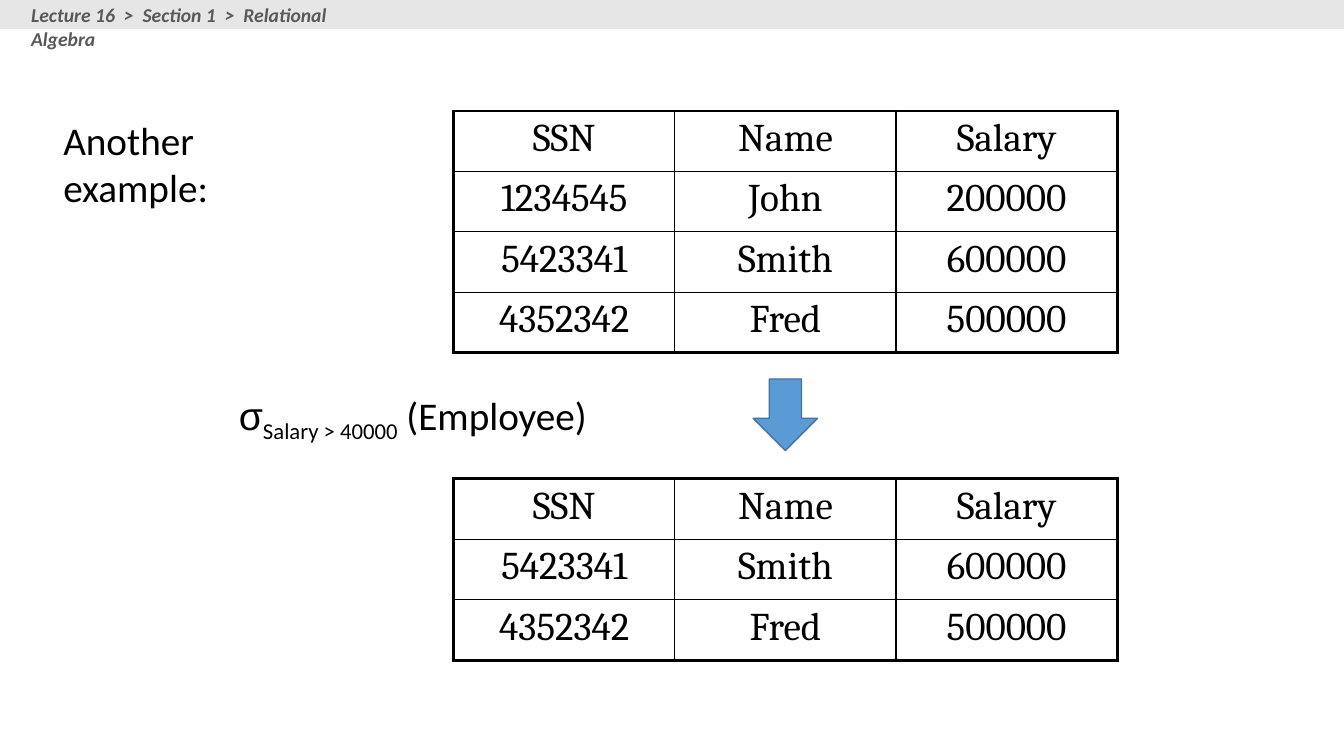
import pptx
import pptx.dml.color
import pptx.enum.shapes
import pptx.enum.text
import pptx.oxml
import pptx.oxml.ns
import pptx.util
from pptx.util import Inches

BLACK = "000000"
THIN, THICK = 1, 2.25
COLUMNS = ("SSN", "Name", "Salary")
JOHN = ("1234545", "John", "200000")
SMITH = ("5423341", "Smith", "600000")
FRED = ("4352342", "Fred", "500000")


def color(hex_code):
    return pptx.dml.color.RGBColor.from_string(hex_code)


def add_run(paragraph, text, font_name="Calibri", size=28, hex_code=BLACK):
    run = paragraph.add_run()
    run.text = text
    run.font.name = font_name
    run.font.size = pptx.util.Pt(size)
    run.font.color.rgb = color(hex_code)
    return run


def add_text(slide, left, top, width, height):
    frame = slide.shapes.add_textbox(
        Inches(left), Inches(top), Inches(width), Inches(height)).text_frame
    frame.word_wrap = True
    return frame.paragraphs[0]


def add_filled_shape(slide, kind, left, top, width, height, fill):
    shape = slide.shapes.add_shape(
        kind, Inches(left), Inches(top), Inches(width), Inches(height))
    shape.shadow.inherit = False
    shape.fill.solid()
    shape.fill.fore_color.rgb = color(fill)
    return shape


def set_borders(cell, widths):
    properties = cell._tc.get_or_add_tcPr()
    for position, (side, points) in enumerate(widths.items()):
        border = pptx.oxml.parse_xml(
            f'<a:ln{side} {pptx.oxml.ns.nsdecls("a")} w="{int(pptx.util.Pt(points))}">'
            f'<a:solidFill><a:srgbClr val="{BLACK}"/></a:solidFill></a:ln{side}>')
        properties.insert(position, border)


def add_relation(slide, left, top, width, row_height, rows):
    relation = slide.shapes.add_table(
        len(rows), len(COLUMNS), Inches(left), Inches(top),
        Inches(width), Inches(row_height * len(rows))).table
    last_row, last_column = len(rows) - 1, len(COLUMNS) - 1
    for row_index, values in enumerate(rows):
        relation.rows[row_index].height = Inches(row_height)
        for column_index, value in enumerate(values):
            cell = relation.cell(row_index, column_index)
            cell.fill.background()
            paragraph = cell.text_frame.paragraphs[0]
            paragraph.alignment = pptx.enum.text.PP_ALIGN.CENTER
            add_run(paragraph, value, "Cambria")
            set_borders(cell, {
                "L": THICK if column_index == 0 else THIN,
                "R": THICK if column_index == last_column else THIN,
                "T": THICK if row_index == 0 else THIN,
                "B": THICK if row_index == last_row else THIN,
            })


def add_breadcrumb(slide, left, top, width, height):
    band = add_filled_shape(slide, pptx.enum.shapes.MSO_SHAPE.RECTANGLE,
                            left, top, width, height, "E7E6E6")
    band.line.fill.background()
    trail = add_text(slide, left + 0.21, top - 0.02, 3.74, 0.34)
    run = add_run(trail, "Lecture 16  >  Section 1  >  Relational Algebra",
                  size=14, hex_code="595959")
    run.font.bold = True
    run.font.italic = True


def add_selection(slide, left, top, width, height):
    formula = add_text(slide, left, top, width, height)
    add_run(formula, "σ", "Arial")
    condition = add_run(formula, "Salary > 40000")
    condition._r.get_or_add_rPr().set("baseline", "-25000")
    add_run(formula, " (Employee)")


def add_arrow(slide, left, top, width, height):
    arrow = add_filled_shape(slide, pptx.enum.shapes.MSO_SHAPE.DOWN_ARROW,
                             left, top, width, height, "5B9BD5")
    arrow.line.color.rgb = color("43739E")
    arrow.line.width = pptx.util.Pt(1)


def main():
    presentation = pptx.Presentation()
    presentation.slide_width = Inches(13.33)
    presentation.slide_height = Inches(7.5)
    slide = presentation.slides.add_slide(presentation.slide_layouts[6])
    add_selection(slide, 2.27, 3.83, 3.89, 0.57)
    add_relation(slide, 4.5, 1.1, 6.58, 0.6, (COLUMNS, JOHN, SMITH, FRED))
    add_relation(slide, 4.5, 4.75, 6.58, 0.6, (COLUMNS, SMITH, FRED))
    add_run(add_text(slide, 0.53, 1.1, 2.9, 0.57), "Another example:")
    add_arrow(slide, 7.47, 3.76, 0.64, 0.71)
    add_breadcrumb(slide, 0, 0, 13.33, 0.29)
    presentation.save("out.pptx")


if __name__ == "__main__":
    main()
